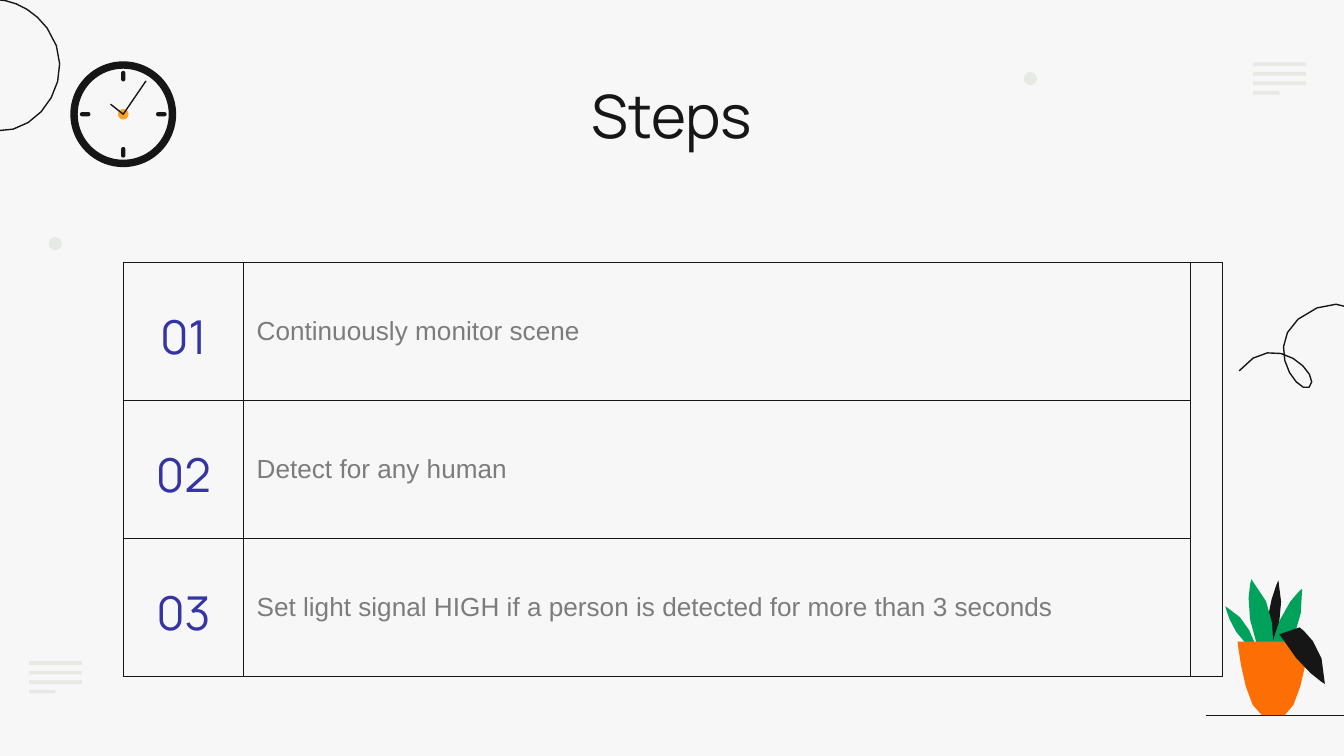
import pptx
import pptx.util
import pptx.dml.color
import pptx.enum.shapes
import pptx.enum.text
import pptx.oxml
import pptx.oxml.ns

Cm = pptx.util.Cm
Pt = pptx.util.Pt
RGB = pptx.dml.color.RGBColor.from_string
Kind = pptx.enum.shapes.MSO_SHAPE
Align = pptx.enum.text.PP_ALIGN
Anchor = pptx.enum.text.MSO_ANCHOR
hues = {"back": "F7F7F7", "ink": "161616", "pale": "E7E9E4", "green": "00A15B",
        "orange": "FD6E05", "amber": "FFA221", "blue": "3434A4", "gray": "7C7C7C"}

deck = pptx.Presentation()
deck.slide_width, deck.slide_height = Cm(25.4), Cm(14.29)
slide = deck.slides.add_slide(deck.slide_layouts[5])
slide.background.fill.solid()
slide.background.fill.fore_color.rgb = RGB(hues["back"])
shapes = slide.shapes


def solid(kind, left, top, width, height, hue):
    shape = shapes.add_shape(kind, Cm(left), Cm(top), Cm(width), Cm(height))
    shape.shadow.inherit = False
    shape.fill.solid()
    shape.fill.fore_color.rgb = RGB(hues[hue])
    shape.line.fill.background()
    return shape


def trace(bends, hue, count, closed):
    dots = []
    for bend in bends:
        for step in range(count + 1):
            t = step / count
            parts = ((1 - t) ** 3, 3 * t * (1 - t) ** 2, 3 * t * t * (1 - t), t ** 3)
            dot = tuple(Cm(sum(w * p[axis] for w, p in zip(parts, bend))) for axis in (0, 1))
            if dot not in dots:
                dots.append(dot)
    pen = shapes.build_freeform(*dots[0])
    pen.add_line_segments(dots[1:], close=closed)
    shape = pen.convert_to_shape()
    shape.shadow.inherit = False
    if closed:
        shape.fill.solid()
        shape.fill.fore_color.rgb = RGB(hues[hue])
        shape.line.fill.background()
    else:
        shape.fill.background()
        shape.line.color.rgb = RGB(hues[hue])
        shape.line.width = Pt(0.75)


for left, top in ((0.92, 4.48), (19.35, 1.36)):
    solid(Kind.OVAL, left, top, 0.25, 0.25, "pale")
for left, top in ((0.55, 12.5), (23.68, 1.18)):
    for row, width in enumerate((1, 1, 1, 0.5)):
        solid(Kind.RECTANGLE, left, top + row * 0.18, width, 0.07, "pale")
trace([[(-0.74, 0.18), (-0.43, -0.1), (0.38, -0.15), (0.89, 0.53)],
       [(0.89, 0.53), (1.6, 1.5), (0.58, 2.82), (-0.38, 2.39)]], "ink", 9, False)
trace([[(23.42, 7.01), (24.1, 6.15), (25.02, 7.14), (24.74, 7.32)],
       [(24.74, 7.32), (24.51, 7.47), (23.7, 6.32), (24.89, 5.82)],
       [(24.89, 5.82), (25.88, 5.41), (26.67, 6.91), (25.98, 7.65)]], "ink", 8, False)

title = shapes.title
title.left, title.top, title.width, title.height = Cm(1.99), Cm(1.26), Cm(21.41), Cm(1.8)
frame = title.text_frame
frame.auto_size = pptx.enum.text.MSO_AUTO_SIZE.NONE
frame.vertical_anchor = Anchor.MIDDLE
frame.margin_left = frame.margin_right = frame.margin_top = frame.margin_bottom = Cm(0.25)
frame.paragraphs[0].alignment = Align.CENTER
run = frame.paragraphs[0].add_run()
run.text = "Steps"
run.font.name, run.font.size = "Manrope", Pt(32)
run.font.color.rgb = RGB(hues["ink"])

ground = shapes.add_connector(pptx.enum.shapes.MSO_CONNECTOR.STRAIGHT,
                              Cm(22.8), Cm(13.52), Cm(25.42), Cm(13.52))
ground.line.color.rgb = RGB(hues["ink"])
ground.line.width = Pt(0.75)
ground._element.spPr.append(pptx.oxml.parse_xml(
    "<a:effectLst %s/>" % pptx.oxml.ns.nsdecls("a")))

leaves = [
    ("ink", (24.08, 12.19), (24.31, 11.48), (24.16, 10.97), (23.9, 11.51), (23.93, 12.19)),
    ("green", (24.31, 12.29), (24.66, 11.79), (24.61, 11.13), (24.21, 11.4), (24, 12.29)),
    ("green", (24.05, 12.24), (24.16, 11.46), (23.65, 10.95), (23.47, 11.46), (23.77, 12.24)),
    ("green", (23.72, 12.19), (23.6, 11.68), (23.16, 11.46), (23.24, 11.89), (23.57, 12.19)),
    ("ink", (24.56, 11.86), (25.07, 12.19), (25.04, 12.93), (24.61, 12.7), (24.18, 11.99)),
]
for spot, (hue, base, out, tip, back, end) in enumerate(leaves):
    if spot == 4:
        trace([[(24.74, 12.13), (24.74, 12.13), (24.59, 13.39), (24.28, 13.52)],
               [(23.85, 13.52), (23.52, 13.39), (23.39, 12.13), (23.39, 12.13)]],
              "orange", 5, True)
    trace([[base, base, out, tip], [tip, tip, back, end]], hue, 4, True)

mid, high = 2.33, 2.16
ring = solid(Kind.DONUT, mid - 1, high - 1, 2, 2, "ink")
ring.adjustments[0] = 0.07
solid(Kind.OVAL, mid - 0.1, high - 0.1, 0.2, 0.2, "amber")
for dx, dy in ((0, 1), (-1, 0), (0, -1), (1, 0)):
    wide, tall = (0.2, 0.08) if dx else (0.08, 0.2)
    tick = solid(Kind.ROUNDED_RECTANGLE, mid + dx * 0.72 - wide / 2,
                 high + dy * 0.72 - tall / 2, wide, tall, "ink")
    tick.adjustments[0] = 0.5
long, hub, short = (2.76, 1.53), (mid, high), (2.09, 1.97)
trace([[long, long, hub, hub], [hub, hub, short, short]], "ink", 1, False)

steps = ["Continuously monitor scene", "Detect for any human",
         "Set light signal HIGH if a person is detected for more than 3 seconds"]
widths = (2.27, 17.9, 0.6)
table = shapes.add_table(3, 3, Cm(2.33), Cm(4.96), Cm(sum(widths)), Cm(7.83)).table
table.first_row = table.horz_banding = False
for col, width in zip(table.columns, widths):
    col.width = Cm(width)
for row, step in enumerate(steps):
    table.rows[row].height = Cm(2.61)
    looks = ((f"{row + 1:02}", "Manrope", 25, "blue"), (step, "Arial", 14, "gray"))
    for cell, (words, font, size, hue) in zip(table.rows[row].cells, looks):
        cell.vertical_anchor = Anchor.MIDDLE
        cell.margin_left = cell.margin_right = cell.margin_top = cell.margin_bottom = Cm(0.25)
        para = cell.text_frame.paragraphs[0]
        if hue == "blue":
            para.alignment = Align.CENTER
            para.line_spacing = 1.15
        run = para.add_run()
        run.text = words
        run.font.name, run.font.size = font, Pt(size)
        run.font.color.rgb = RGB(hues[hue])
    for cell in table.rows[row].cells:
        cell.fill.background()
        props = cell._tc.get_or_add_tcPr()
        for spot, side in enumerate("LRTB"):
            props.insert(spot, pptx.oxml.parse_xml(
                '<a:ln%s %s w="9525"><a:solidFill><a:srgbClr val="%s"/></a:solidFill></a:ln%s>'
                % (side, pptx.oxml.ns.nsdecls("a"), hues["ink"], side)))
table.cell(0, 2).merge(table.cell(2, 2))

deck.save("out.pptx")
